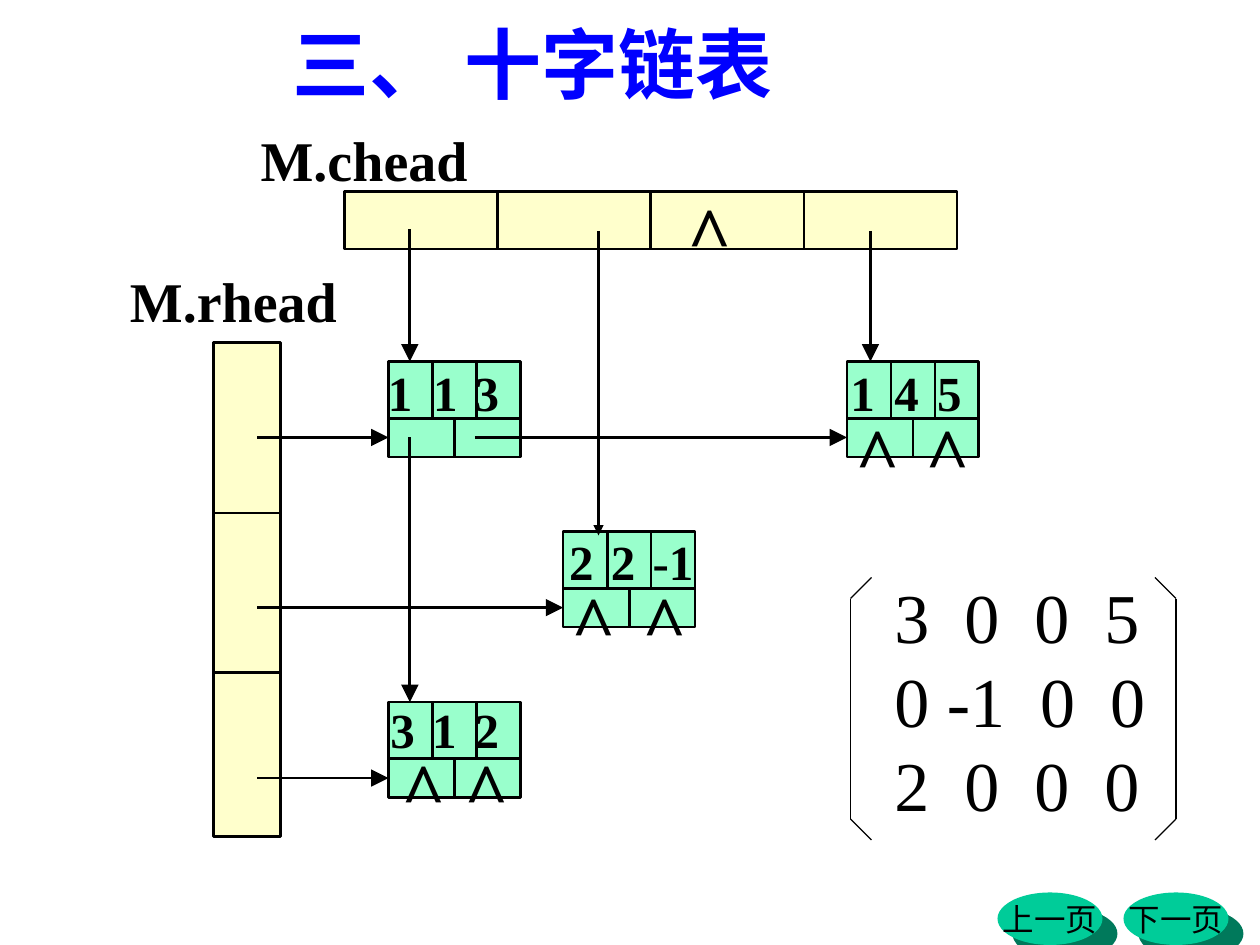
from itertools import pairwise

from lxml.etree import SubElement
from pptx import Presentation
from pptx.dml.color import RGBColor
from pptx.enum.shapes import MSO_CONNECTOR as Connector, MSO_SHAPE as Shape
from pptx.enum.text import MSO_ANCHOR as Anchor, PP_ALIGN as Align
from pptx.oxml.ns import qn
from pptx.util import Pt

COLORS = {"ink": "000000", "title": "0000FF", "head": "FFFFCC", "node": "99FFCC",
          "button": "00CC99", "button_shadow": "00795B"}
FONT = "Times New Roman"
STROKE = 1.62

TITLE = "三、 十字链表"
BUTTONS = [("上一页", 570), ("下一页", 642)]
HEAD_LABELS = [("M.chead", 149, 72), ("M.rhead", 74.3, 152.6)]
COLUMN_HEAD = (196.9, 109.4, 350, 33)
ROW_HEAD = (122, 195.8, 38.2, 282.2)
ROW_BREAKS = [293.2, 384.5]
EMPTY_COLUMN = (386, 102.2)

NODE_WIDTH, NODE_HEIGHT, NODE_SPLIT = 75.4, 54.6, 32.4
NODES = [
    {"at": (222, 206.6), "values": ["1", "1", "3"], "value_lefts": [214.6, 240.5, 264.2],
     "value_top": 203.6, "null_lefts": [], "null_top": 0},
    {"at": (484, 206.6), "values": ["1", "4", "5"], "value_lefts": [478.8, 504, 528.5],
     "value_top": 203.8, "null_lefts": [481.7, 522], "null_top": 228.2},
    {"at": (222, 401.2), "values": ["3", "1", "2"], "value_lefts": [216, 239.8, 264.2],
     "value_top": 396, "null_lefts": [222.5, 258.5], "null_top": 419.8},
    {"at": (321.8, 303.8), "values": ["2", "2", "-1"], "value_lefts": [318.2, 342, 365.8],
     "value_top": 300.2, "null_lefts": [319.7, 360], "null_top": 324},
]
LINKS = [
    ((146.9, 250), (222, 250), "lg"),
    ((271.4, 250), (484, 250), "lg"),
    ((146.9, 347.2), (321.8, 347.2), "lg"),
    ((146.9, 444.6), (222, 444.6), "lg"),
    ((234.2, 131), (234.2, 206.6), "lg"),
    ((234.2, 250), (234.2, 401.2), "lg"),
    ((342, 132), (342, 306), "med"),
    ((497.4, 132), (497.4, 206.6), "lg"),
]
MATRIX = [("3\t0\t0\t5", [40, 80, 120]),
          ("0\t-1\t0\t0", [30, 83.3, 123.3]),
          ("2\t0\t0\t0", [40, 80, 120])]
BRACKETS = [
    [(498, 330), (486, 342), (486, 468), (498, 480)],
    [(660, 330), (672, 342), (672, 468), (660, 480)],
]


def rgb(name):
    return RGBColor.from_string(COLORS[name])


def write(shape, text, size, color="ink", bold=False, align=Align.LEFT,
          anchor=Anchor.TOP, inset=(7.2, 3.6), tabs=None):
    frame = shape.text_frame
    frame.word_wrap = False
    frame.vertical_anchor = anchor
    frame.margin_left = frame.margin_right = Pt(inset[0])
    frame.margin_top = frame.margin_bottom = Pt(inset[1])
    for index, line in enumerate(text.split("\n")):
        paragraph = frame.add_paragraph() if index else frame.paragraphs[0]
        if tabs:
            stops = SubElement(paragraph._p.get_or_add_pPr(), qn("a:tabLst"))
            for stop in tabs[index]:
                SubElement(stops, qn("a:tab"), pos=str(int(Pt(stop))), algn="l")
        paragraph.alignment = align
        run = paragraph.add_run()
        run.text = line
        font = run.font
        font.name, font.size, font.bold = FONT, Pt(size), bold
        font.color.rgb = rgb(color)


def add_label(slide, text, left, top, width, height, **style):
    label = slide.shapes.add_textbox(Pt(left), Pt(top), Pt(width), Pt(height))
    write(label, text, **style)


def add_block(slide, kind, left, top, width, height, fill, outlined=True):
    block = slide.shapes.add_shape(kind, Pt(left), Pt(top), Pt(width), Pt(height))
    block.shadow.inherit = False
    block.fill.solid()
    block.fill.fore_color.rgb = rgb(fill)
    if outlined:
        block.line.color.rgb = rgb("ink")
        block.line.width = Pt(STROKE)
    else:
        block.line.fill.background()
    return block


def add_line(slide, start, end, width=STROKE, head=None):
    line = slide.shapes.add_connector(
        Connector.STRAIGHT, Pt(start[0]), Pt(start[1]), Pt(end[0]), Pt(end[1]))
    line.line.color.rgb = rgb("ink")
    line.line.width = Pt(width)
    if head:
        SubElement(line.line._get_or_add_ln(), qn("a:tailEnd"),
                   type="triangle", w=head, len=head)
    SubElement(line._element.spPr, qn("a:effectLst"))


def add_button(slide, text, left):
    button = add_block(slide, Shape.OVAL, left, 510, 60, 30, "button", outlined=False)
    effects = button._element.spPr.find(qn("a:effectLst"))
    shadow = SubElement(effects, qn("a:outerShdw"), blurRad="0", dist=str(int(Pt(12.1))),
                        dir=str(45 * 60000), algn="ctr", rotWithShape="0")
    SubElement(shadow, qn("a:srgbClr"), val=COLORS["button_shadow"])
    write(button, text, size=18, align=Align.CENTER, anchor=Anchor.MIDDLE)


def add_null(slide, left, top):
    add_label(slide, "^", left, top, 39.6, 60.5, size=44, bold=True)


def add_node(slide, node):
    left, top = node["at"]
    middle, bottom = top + NODE_SPLIT, top + NODE_HEIGHT
    add_block(slide, Shape.RECTANGLE, left, top, NODE_WIDTH, NODE_HEIGHT, "node")
    add_line(slide, (left, middle), (left + NODE_WIDTH, middle))
    for third in (1, 2):
        x = left + NODE_WIDTH * third / 3
        add_line(slide, (x, top), (x, middle))
    x = left + NODE_WIDTH / 2
    add_line(slide, (x, middle), (x, bottom))


def add_heads(slide):
    left, top, width, height = COLUMN_HEAD
    add_block(slide, Shape.RECTANGLE, *COLUMN_HEAD, "head")
    for quarter in (1, 2, 3):
        x = left + width * quarter / 4
        add_line(slide, (x, top), (x, top + height))
    left, top, width, height = ROW_HEAD
    add_block(slide, Shape.RECTANGLE, *ROW_HEAD, "head")
    for y in ROW_BREAKS:
        add_line(slide, (left, y), (left + width, y))


def main():
    """Build the slide on the orthogonal linked list of a sparse matrix."""
    deck = Presentation()
    deck.slide_width, deck.slide_height = Pt(720), Pt(540)
    slide = deck.slides.add_slide(deck.slide_layouts[5])

    title = slide.shapes.title
    title.left, title.top, title.width, title.height = Pt(160), Pt(5.8), Pt(300), Pt(60.5)
    write(title, TITLE, size=44, color="title", bold=True)

    for text, left in BUTTONS:
        add_button(slide, text, left)
    add_heads(slide)
    for node in NODES:
        add_node(slide, node)
    for start, end, head in LINKS:
        add_line(slide, start, end, head=head)

    for text, left, top in HEAD_LABELS:
        add_label(slide, text, left, top, 122, 38.2, size=32, bold=True, inset=(0, 0))
    add_label(slide, "\n".join(row for row, _ in MATRIX), 504, 324, 157.7, 151.2,
              size=40, tabs=[stops for _, stops in MATRIX])
    for bracket in BRACKETS:
        for start, end in pairwise(bracket):
            add_line(slide, start, end, width=0.75)

    for node in NODES:
        for value, left in zip(node["values"], node["value_lefts"]):
            add_label(slide, value, left, node["value_top"], 14 + 14 * len(value), 41,
                      size=28, bold=True)
        for left in node["null_lefts"]:
            add_null(slide, left, node["null_top"])
    add_null(slide, *EMPTY_COLUMN)

    deck.save("out.pptx")


if __name__ == "__main__":
    main()
